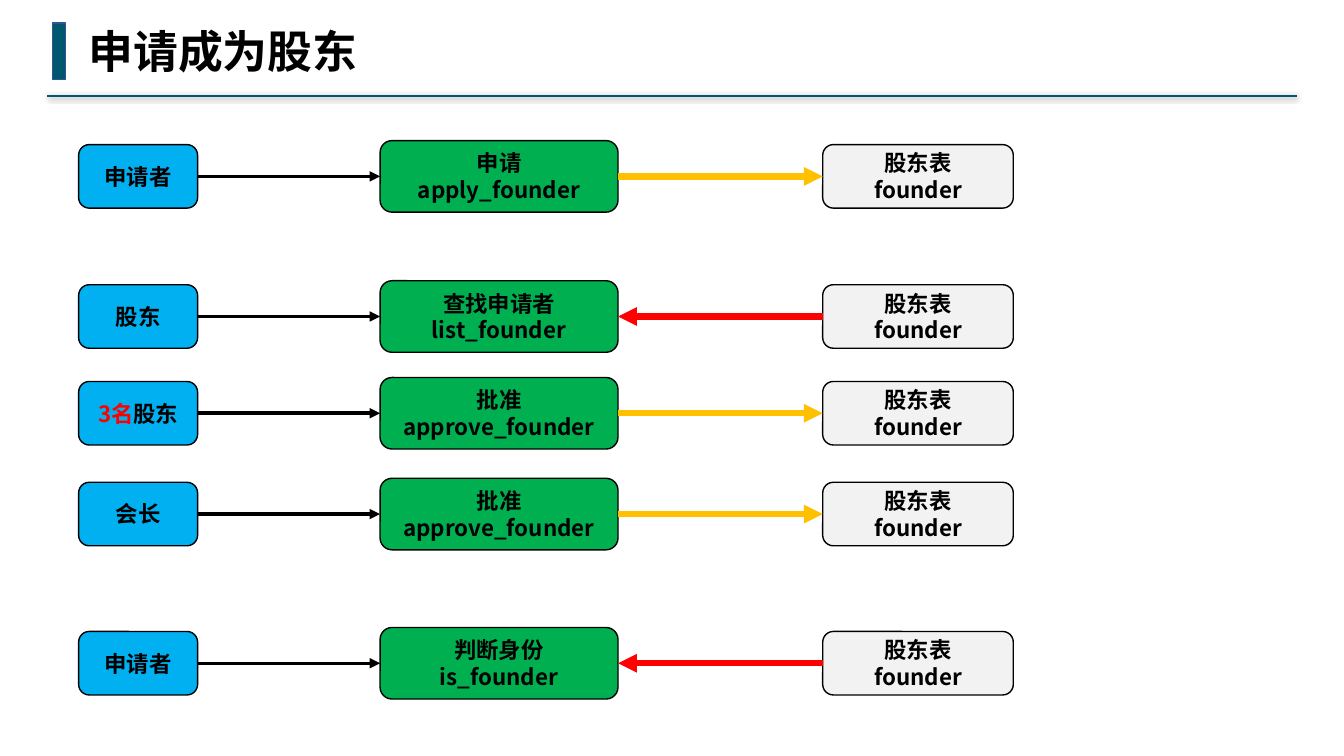
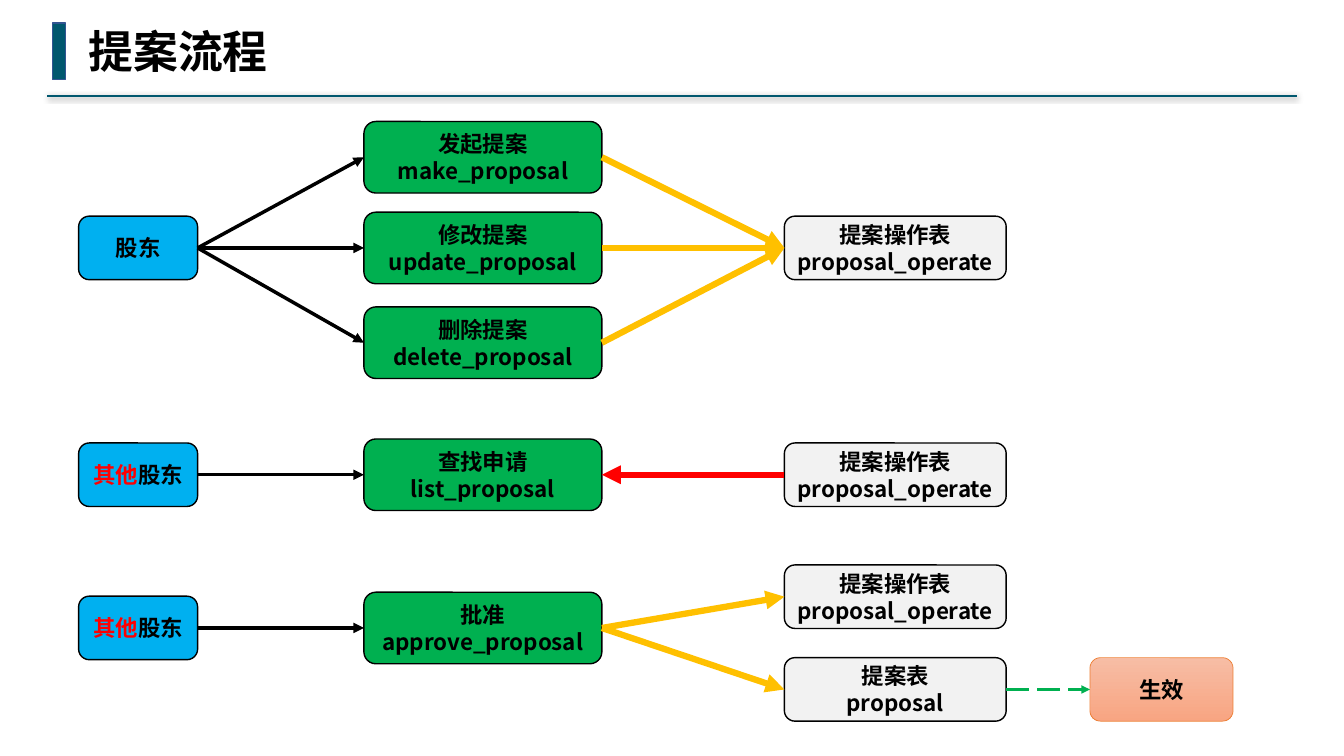
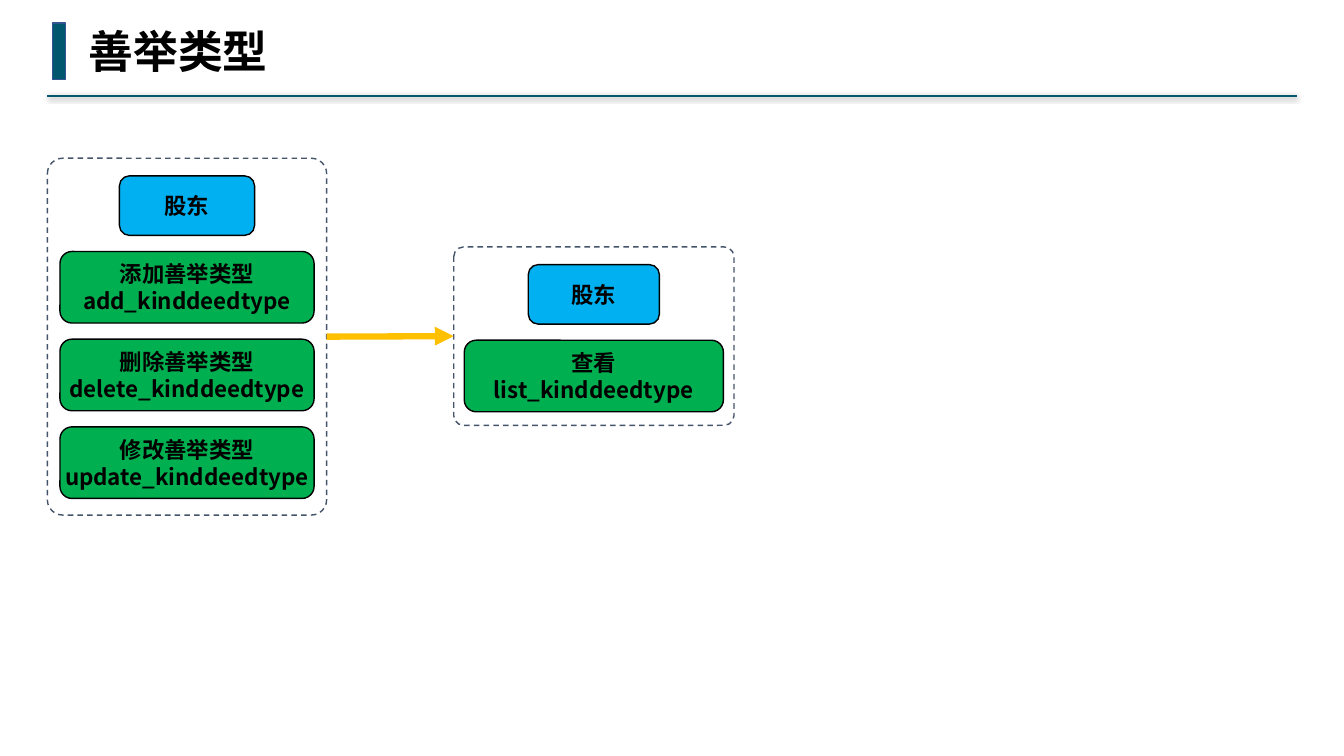
from pptx import Presentation
from pptx import util as u
from pptx.dml.color import RGBColor
from pptx.enum import dml, shapes, text
from pptx.oxml import parse_xml
from pptx.oxml.ns import nsdecls, qn
from lxml import etree

# Shared style
BLACK = RGBColor(0x00, 0x00, 0x00)
RED = RGBColor(0xFF, 0x00, 0x00)
AMBER = RGBColor(0xFF, 0xC0, 0x00)
BLUE = RGBColor(0x00, 0xB0, 0xF0)
GREEN = RGBColor(0x00, 0xB0, 0x50)
LIGHT_GREY = RGBColor(0xF2, 0xF2, 0xF2)
SLATE = RGBColor(0x44, 0x54, 0x6A)
TEAL = RGBColor(0x00, 0x57, 0x6E)
NAVY = RGBColor(0x32, 0x54, 0x91)
ORANGE = RGBColor(0xED, 0x7D, 0x31)
PEACH = (RGBColor(0xF7, 0xBD, 0xA5), RGBColor(0xF8, 0xA5, 0x82))

BODY_FONT = "Noto Sans CJK SC"
TITLE_FONT = "Noto Sans Mono"
LEFT_SIDE, RIGHT_SIDE = 1, 3  # connection sites of a box

RULE_SHADOW = (
    f'<a:effectLst {nsdecls("a")}><a:outerShdw blurRad="50800" dist="12700" dir="5400000">'
    '<a:srgbClr val="000000"><a:alpha val="40000"/></a:srgbClr>'
    '</a:outerShdw></a:effectLst>')
NO_EFFECT = f'<a:effectLst {nsdecls("a")}/>'


class Deck:
    """Holds the presentation, the current slide and the drawing style."""

    def __init__(self):
        self.presentation = Presentation()
        self.presentation.slide_width = u.Inches(13.33)
        self.presentation.slide_height = u.Inches(7.5)
        self.slide = None

    def new_slide(self, title):
        self.slide = self.presentation.slides.add_slide(self.presentation.slide_layouts[6])
        self.line((12.86, 0.95), (0.47, 0.95), TEAL, 1.5, RULE_SHADOW)
        bar = self.shape(self.slide, shapes.MSO_SHAPE.RECTANGLE, 0.52, 0.23, 0.13, 0.56)
        self.paint(bar, TEAL, NAVY)
        box = self.slide.shapes.add_textbox(
            u.Inches(0.78), u.Inches(0.19), u.Inches(0.2 + 0.45 * len(title)), u.Inches(0.64))
        box.text_frame.word_wrap = False
        box.text_frame.auto_size = text.MSO_AUTO_SIZE.SHAPE_TO_FIT_TEXT
        box.text_frame.text = title
        self.style_run(box.text_frame.paragraphs[0].runs[0], 32, TITLE_FONT)

    def shape(self, parent, kind, left, top, width, height):
        shape = parent.shapes.add_shape(
            kind, u.Inches(left), u.Inches(top), u.Inches(width), u.Inches(height))
        shape.shadow.inherit = False
        return shape

    def paint(self, shape, fill, outline=BLACK, weight=1):
        shape.fill.solid()
        shape.fill.fore_color.rgb = fill
        shape.line.color.rgb = outline
        shape.line.width = u.Pt(weight)

    def style_run(self, run, size=16, font=BODY_FONT, color=BLACK):
        run.font.size = u.Pt(size)
        run.font.bold = True
        run.font.name = font
        run.font.color.rgb = color
        latin = run.font._element.find(qn("a:latin"))
        latin.addnext(etree.Element(qn("a:ea"), typeface=BODY_FONT))

    def box(self, left, middle, width, height, fill, lines, red="", parent=None):
        """Rounded box centred on a height; red is a prefix set in red."""
        box = self.shape(parent or self.slide, shapes.MSO_SHAPE.ROUNDED_RECTANGLE,
                         left, middle - height / 2, width, height)
        self.paint(box, fill)
        frame = box.text_frame
        frame.word_wrap = False
        frame.vertical_anchor = text.MSO_ANCHOR.MIDDLE
        frame.margin_left = frame.margin_right = u.Inches(0.04)
        frame.margin_top = frame.margin_bottom = u.Inches(0.04)
        frame.text = "\n".join(lines)
        if red:
            first = frame.paragraphs[0]
            first.text = red
            first.add_run().text = lines[0]
        for paragraph in frame.paragraphs:
            paragraph.alignment = text.PP_ALIGN.CENTER
            for run in paragraph.runs:
                self.style_run(run)
        if red:
            frame.paragraphs[0].runs[0].font.color.rgb = RED
        return box

    def actor(self, middle, name, red=""):
        return self.box(0.78, middle, 1.18, 0.63, BLUE, [name], red)

    def action(self, left, middle, *lines, width=2.36, parent=None):
        return self.box(left, middle, width, 0.71, GREEN, lines, parent=parent)

    def table_box(self, left, middle, width, *lines):
        return self.box(left, middle, width, 0.63, LIGHT_GREY, lines)

    def line(self, start, end, color, weight, effect=NO_EFFECT):
        line = self.slide.shapes.add_connector(
            shapes.MSO_CONNECTOR.STRAIGHT, *(u.Inches(value) for value in start + end))
        line.line.color.rgb = color
        line.line.width = u.Pt(weight)
        line._element.spPr.append(parse_xml(effect))
        return line

    def arrow(self, source, target, color=BLACK, weight=2.5):
        """Arrow between the facing sides of two boxes."""
        arrow = self.line((0, 0), (1, 1), color, weight)
        forward = source.left < target.left
        arrow.begin_connect(source, RIGHT_SIDE if forward else LEFT_SIDE)
        arrow.end_connect(target, LEFT_SIDE if forward else RIGHT_SIDE)
        etree.SubElement(arrow.get_or_add_ln(), qn("a:tailEnd"), type="triangle")
        return arrow

    def data_arrow(self, source, target):
        """Thick arrow: amber towards the right, red back to the left."""
        color = AMBER if source.left < target.left else RED
        return self.arrow(source, target, color, 4.5)

    def panel(self, left, top, width, height, actor_width, action_width, actions):
        """Dashed frame with an actor above a stack of actions."""
        group = self.slide.shapes.add_group_shape()
        frame = self.shape(group, shapes.MSO_SHAPE.ROUNDED_RECTANGLE, left, top, width, height)
        frame.adjustments[0] = 0.055
        frame.fill.background()
        frame.line.color.rgb = SLATE
        frame.line.width = u.Pt(1)
        frame.line.dash_style = dml.MSO_LINE.DASH
        center = left + width / 2
        self.box(center - actor_width / 2, top + 0.47, actor_width, 0.59, BLUE, ["股东"],
                 parent=group)
        for row, lines in enumerate(actions):
            self.action(center - action_width / 2, top + 1.28 + 0.87 * row, *lines,
                        width=action_width, parent=group)
        return frame


deck = Deck()

# Slide 1: becoming a shareholder
deck.new_slide("申请成为股东")
founder_rows = [
    (1.75, "", "申请者", "申请", "apply_founder", False),
    (3.14, "", "股东", "查找申请者", "list_founder", True),
    (4.1, "3名", "股东", "批准", "approve_founder", False),
    (5.1, "", "会长", "批准", "approve_founder", False),
    (6.58, "", "申请者", "判断身份", "is_founder", True),
]
for middle, red, name, label, function, fetches in founder_rows:
    actor = deck.actor(middle, name, red)
    action = deck.action(3.77, middle, label, function)
    table = deck.table_box(8.16, middle, 1.89, "股东表", "founder")
    deck.arrow(actor, action)
    deck.data_arrow(*((table, action) if fetches else (action, table)))

# Slide 2: proposal process
deck.new_slide("提案流程")
ACTION_LEFT, TABLE_LEFT, TABLE_WIDTH = 3.61, 7.78, 2.2
OPERATE_TABLE = ("提案操作表", "proposal_operate")

# Making, updating and deleting a proposal
shareholder = deck.actor(2.46, "股东")
operations = deck.table_box(TABLE_LEFT, 2.46, TABLE_WIDTH, *OPERATE_TABLE)
for middle, label, function in [(1.56, "发起提案", "make_proposal"),
                                (2.46, "修改提案", "update_proposal"),
                                (3.4, "删除提案", "delete_proposal")]:
    action = deck.action(ACTION_LEFT, middle, label, function)
    deck.arrow(shareholder, action)
    deck.data_arrow(action, operations)

# Listing
others = deck.actor(4.71, "股东", "其他")
listing = deck.action(ACTION_LEFT, 4.71, "查找申请", "list_proposal")
operations = deck.table_box(TABLE_LEFT, 4.71, TABLE_WIDTH, *OPERATE_TABLE)
deck.arrow(others, listing)
deck.data_arrow(operations, listing)

# Approval
others = deck.actor(6.23, "股东", "其他")
approval = deck.action(ACTION_LEFT, 6.23, "批准", "approve_proposal")
operations = deck.table_box(TABLE_LEFT, 5.92, TABLE_WIDTH, *OPERATE_TABLE)
proposals = deck.table_box(TABLE_LEFT, 6.84, TABLE_WIDTH, "提案表", "proposal")
deck.arrow(others, approval)
deck.data_arrow(approval, operations)
deck.data_arrow(approval, proposals)

# Taking effect
effect = deck.box(10.81, 6.84, 1.42, 0.63, PEACH[0], ["生效"])
effect.fill.gradient()
effect.fill.gradient_angle = 270
for stop, color in zip(effect.fill.gradient_stops, PEACH):
    stop.color.rgb = color
effect.line.color.rgb = ORANGE
effect.line.width = u.Pt(0.5)
deck.arrow(proposals, effect, GREEN, 2).line.dash_style = dml.MSO_LINE.LONG_DASH

# Slide 3: kinds of good deeds
deck.new_slide("善举类型")
editing = deck.panel(0.47, 1.57, 2.77, 3.54, 1.34, 2.52, [
    ("添加善举类型", "add_kinddeedtype"),
    ("删除善举类型", "delete_kinddeedtype"),
    ("修改善举类型", "update_kinddeedtype"),
])
viewing = deck.panel(4.5, 2.45, 2.78, 1.77, 1.3, 2.57, [("查看", "list_kinddeedtype")])
deck.data_arrow(editing, viewing)

deck.presentation.save("out.pptx")
